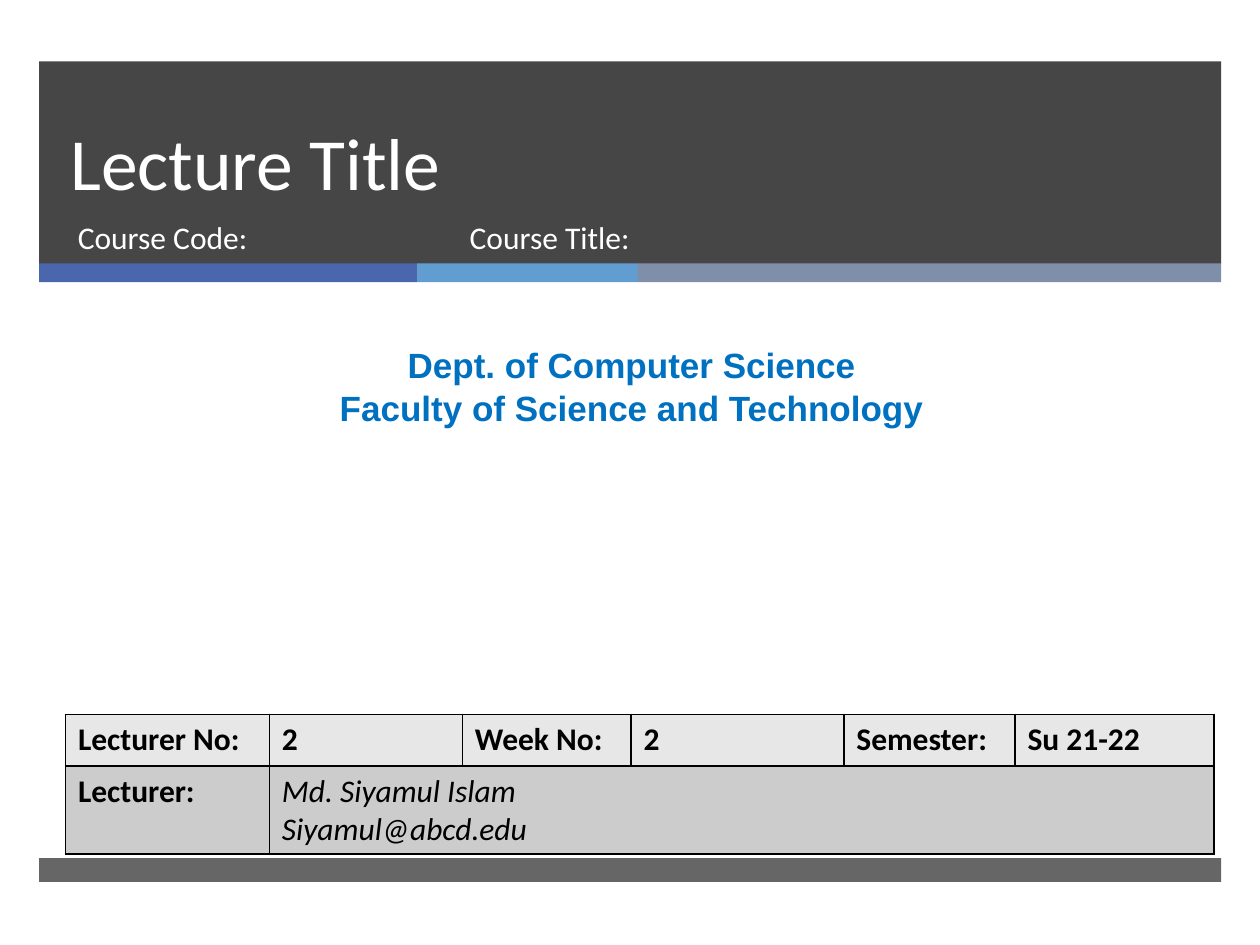
import lxml.etree
import pptx
import pptx.dml.color
import pptx.enum.shapes
import pptx.enum.text
import pptx.oxml.ns
import pptx.util

Cm = pptx.util.Cm
Pt = pptx.util.Pt
ALIGN = pptx.enum.text.PP_ALIGN
ANCHOR = pptx.enum.text.MSO_ANCHOR

COLORS = {
    "dark": "262626",
    "blue": "4A66AC",
    "sky": "629DD1",
    "slate": "7F8FA9",
    "department": "0070C0",
    "white": "FFFFFF",
    "black": "000000",
    "light_row": "E7E7E7",
    "dark_row": "CCCCCC",
}


def rgb(name):
    """Return the named colour as an RGB value."""
    return pptx.dml.color.RGBColor.from_string(COLORS[name])


def write_text(frame, text, size=18, font="Calibri", color="white", bold=False,
               italic=False, align=ALIGN.LEFT, line_spacing=None):
    """Fill a text frame with one formatted paragraph for each line."""
    frame.word_wrap = True
    for index, line in enumerate(text.split("\n")):
        paragraph = frame.add_paragraph() if index else frame.paragraphs[0]
        paragraph.alignment = align
        if line_spacing:
            paragraph.line_spacing = Pt(line_spacing)
        run = paragraph.add_run()
        run.text = line
        run.font.size = Pt(size)
        run.font.name = font
        run.font.bold = bold
        run.font.italic = italic
        run.font.color.rgb = rgb(color)


def add_text(slide, left, top, width, height, text, anchor=ANCHOR.TOP, **text_format):
    """Add a text box measured in centimetres."""
    box = slide.shapes.add_textbox(Cm(left), Cm(top), Cm(width), Cm(height))
    box.text_frame.vertical_anchor = anchor
    write_text(box.text_frame, text, **text_format)


def add_band(slide, left, top, width, height, color, opacity=100):
    """Add a plain rectangle with an optional opacity in percent."""
    band = slide.shapes.add_shape(pptx.enum.shapes.MSO_SHAPE.RECTANGLE,
                                  Cm(left), Cm(top), Cm(width), Cm(height))
    band.shadow.inherit = False
    band.fill.solid()
    band.fill.fore_color.rgb = rgb(color)
    band.line.fill.background()
    if opacity < 100:
        fill_color = band.fill._xPr.find(".//" + pptx.oxml.ns.qn("a:srgbClr"))
        alpha = lxml.etree.SubElement(fill_color, pptx.oxml.ns.qn("a:alpha"))
        alpha.set("val", str(opacity * 1000))


def add_header(slide, left, top, width, height):
    """Add the title panel, its colour stripe and the course labels."""
    add_band(slide, left, top, width, height, "dark", opacity=85)
    stripe_left = left
    for stripe_width, color in ((7.62, "blue"), (4.45, "sky"), (11.76, "slate")):
        add_band(slide, stripe_left, top + height - 0.02, stripe_width, 0.38, color)
        stripe_left += stripe_width
    add_text(slide, left + 0.38, top, 21.69, 3.02, "Lecture Title",
             anchor=ANCHOR.BOTTOM, size=42, line_spacing=46)
    add_text(slide, left + 0.53, top + 3.03, 7.75, 1.35, "Course Code:")
    add_text(slide, left + 8.43, top + 3.03, 11.56, 1.35, "Course Title:")


def add_department(slide, left, top, width, height):
    """Add the centred department and faculty lines."""
    add_text(slide, left, top, width, height,
             "Dept. of Computer Science\nFaculty of Science and Technology",
             size=20, font="Arial", color="department", bold=True, align=ALIGN.CENTER)


def add_borders(cell):
    """Draw a black one-point line on each side of a cell."""
    properties = cell._tc.get_or_add_tcPr()
    for index, side in enumerate(("lnL", "lnR", "lnT", "lnB")):
        line = properties.makeelement(pptx.oxml.ns.qn("a:" + side), {"w": str(Pt(1))})
        fill = lxml.etree.SubElement(line, pptx.oxml.ns.qn("a:solidFill"))
        lxml.etree.SubElement(fill, pptx.oxml.ns.qn("a:srgbClr"), val=COLORS["black"])
        properties.insert(index, line)


def add_details(slide, left, top, width, height):
    """Add the table of lecture details and lecturer contact."""
    column_widths = (4.11, 3.89, 3.4, 4.29, 3.45, 4.01)
    first_height = 1.04
    rows = (
        ("light_row", ("Lecturer No:", "2", "Week No:", "2", "Semester:", "Su 21-22")),
        ("dark_row", ("Lecturer:", "Md. Siyamul Islam\nSiyamul@abcd.edu")),
    )
    table = slide.shapes.add_table(len(rows), len(column_widths), Cm(left), Cm(top),
                                   Cm(width), Cm(height)).table
    for column, column_width in zip(table.columns, column_widths):
        column.width = Cm(column_width)
    for row, row_height in zip(table.rows, (first_height, height - first_height)):
        row.height = Cm(row_height)
    table.cell(1, 1).merge(table.cell(1, len(column_widths) - 1))
    for row, (color, texts) in zip(table.rows, rows):
        for cell in row.cells:
            cell.fill.solid()
            cell.fill.fore_color.rgb = rgb(color)
            add_borders(cell)
        for cell, text in zip(row.cells, texts):
            contact = "\n" in text
            write_text(cell.text_frame, text, color="black",
                       bold=not contact, italic=contact)


def main():
    """Build and save the lecture title slide."""
    presentation = pptx.Presentation()
    presentation.slide_width = Cm(25.4)
    presentation.slide_height = Cm(19.05)
    slide = presentation.slides.add_slide(presentation.slide_layouts[6])
    add_header(slide, 0.79, 1.24, 23.83, 4.09)
    add_band(slide, 0.79, 17.3, 23.83, 0.48, "dark", opacity=70)
    add_department(slide, 0.2, 6.81, 25.07, 1.96)
    add_details(slide, 1.32, 14.4, 23.15, 2.82)
    presentation.save("out.pptx")


if __name__ == "__main__":
    main()
